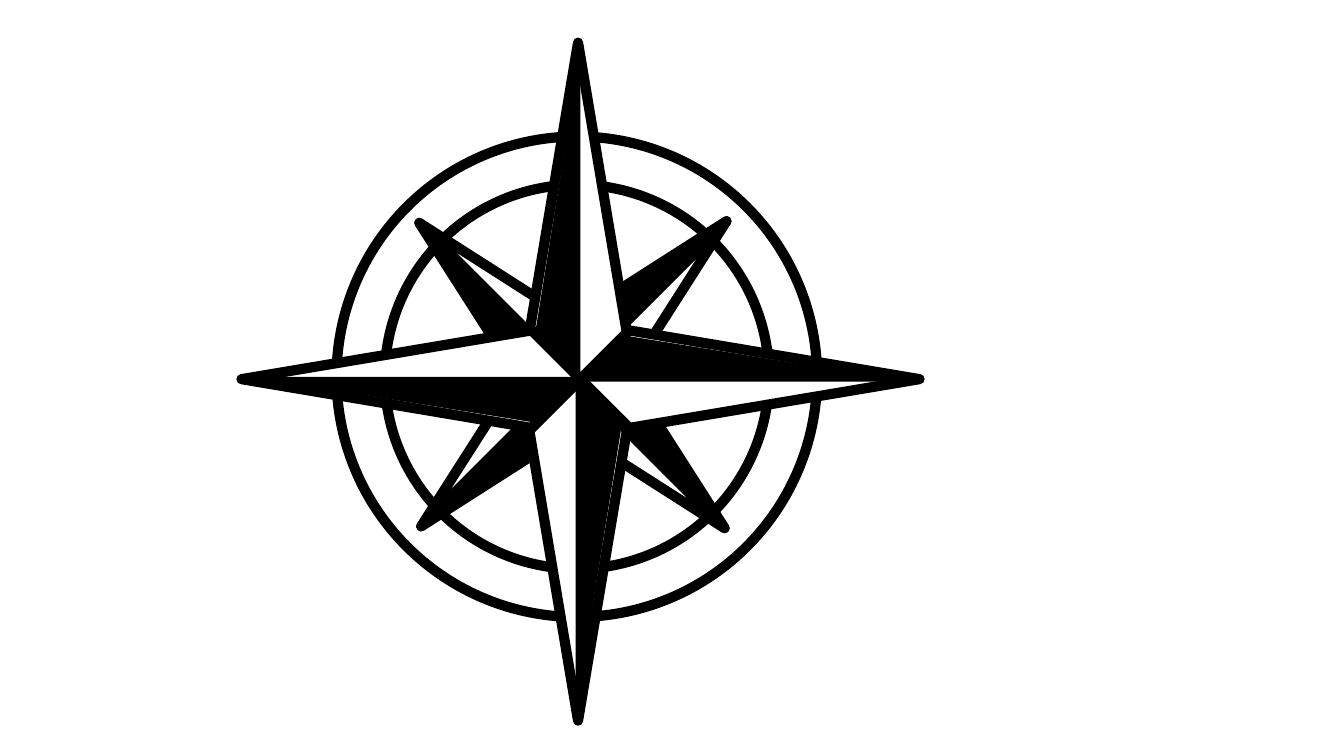
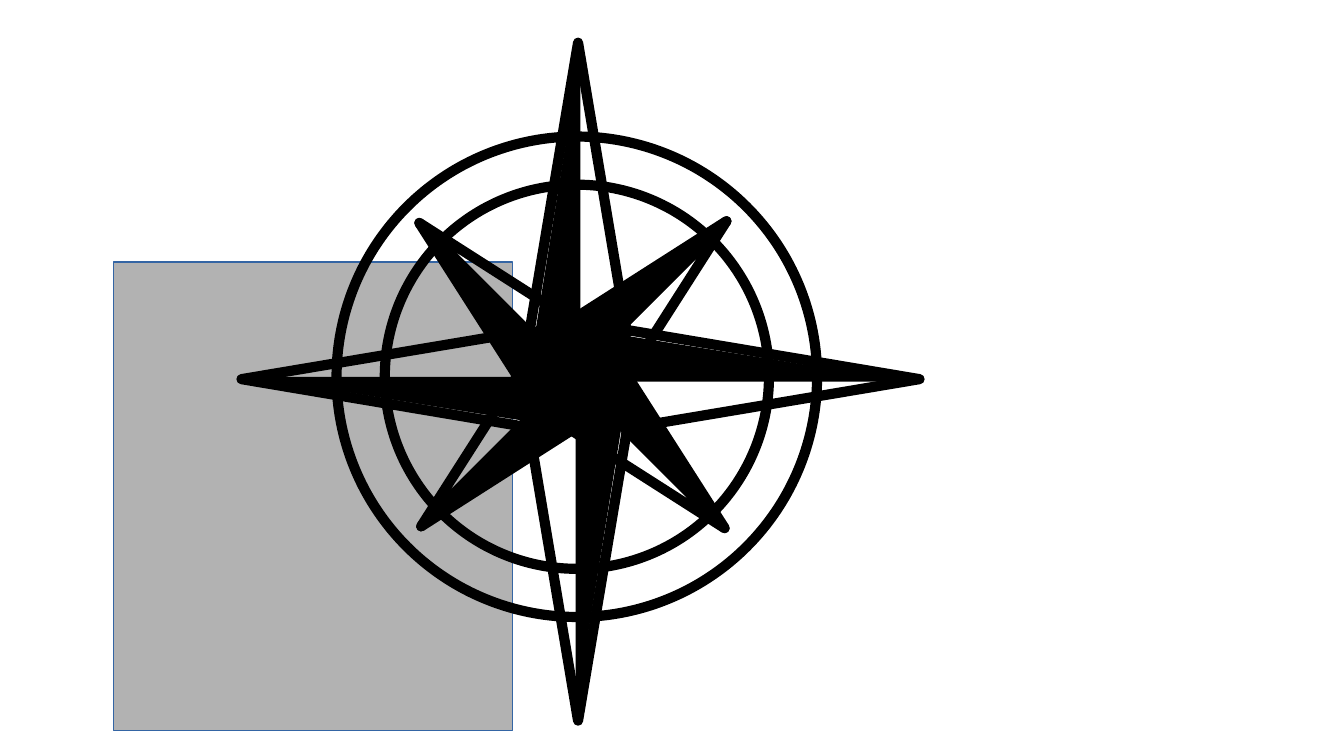
import math

import pptx
import pptx.dml.color
import pptx.enum.shapes
import pptx.oxml
import pptx.oxml.ns
import pptx.util

COLUMNS, ROWS = 110.2, 62
BLACK, WHITE, GRAY, BLUE = "000000", "FFFFFF", "B2B2B2", "3465A4"
OUTLINE = (BLACK, 6)
HAIRLINE = (BLUE, 0)
SHAPES = pptx.enum.shapes.MSO_SHAPE

RING_CENTER = (47.3, 30.9)
RING_DIAMETERS = (39.4, 31.5)
DIAGONALS = ((315, (46.9, 30.8)), (225, (47.05, 30.65)))
HALVES = (("", None), ("h", BLACK), ("hv", None), ("v", BLACK))
TRIANGLE = (3.9, 17.7)
VERTICAL_HUB, HORIZONTAL_HUB = (47.4, 31.3), (47.6, 31.1)
CARDINALS = ((0, VERTICAL_HUB), (180, VERTICAL_HUB), (270, HORIZONTAL_HUB), (90, HORIZONTAL_HUB))
KITE = ((0, 0), (4, -4), (0, -27.8), (-4, -4))
BLADE = ((0.2, -0.2), (0.2, -27), (-3.5, -4.1), (-3.5, -3.9))


def color(value):
    """Return the colour for a hex string."""
    return pptx.dml.color.RGBColor.from_string(value)


def rotate(point, degrees):
    """Turn a point clockwise around the origin."""
    x, y = point
    cosine, sine = math.cos(math.radians(degrees)), math.sin(math.radians(degrees))
    return x * cosine - y * sine, x * sine + y * cosine


class Deck:
    """Hold the presentation, the current slide and the drawing style."""

    def __init__(self):
        """Set up an empty presentation with a grid of tenths of an inch."""
        self.presentation = pptx.Presentation()
        self.cell = pptx.util.Inches(0.1)
        size = {"slide_width": self.grid(COLUMNS), "slide_height": self.grid(ROWS)}
        for name, value in size.items():
            setattr(self.presentation, name, value)

    def grid(self, cells):
        """Convert grid cells to a length."""
        return pptx.util.Emu(round(cells * self.cell))

    def add_slide(self):
        """Start a blank slide."""
        self.slide = self.presentation.slides.add_slide(self.presentation.slide_layouts[6])
        return self.slide.shapes

    def add_group(self, shapes):
        """Add a group and return its shapes."""
        return shapes.add_group_shape().shapes

    def format(self, shape, fill, line):
        """Give a shape its fill and round-cornered outline."""
        shape.shadow.inherit = False
        paints = ((shape.fill, fill), (shape.line.fill, line and line[0]))
        for paint, value in paints:
            if value:
                paint.solid()
                paint.fore_color.rgb = color(value)
            else:
                paint.background()
        if line:
            shape.line.width = pptx.util.Pt(line[1])
            outline = shape.line.fill._xPr
            outline.append(pptx.oxml.parse_xml(f"<a:round {pptx.oxml.ns.nsdecls('a')}/>"))

    def preset(self, shapes, kind, center, size, fill=None, line=OUTLINE, rotation=0, flip=""):
        """Add a preset shape around a centre, turned and flipped."""
        corner = [middle - length / 2 for middle, length in zip(center, size)]
        shape = shapes.add_shape(kind, *map(self.grid, (*corner, *size)))
        shape.rotation = rotation
        for axis in flip:
            shape._element.spPr.xfrm.set(f"flip{axis.upper()}", "1")
        self.format(shape, fill, line)

    def polygon(self, shapes, points, hub, angle, fill, line):
        """Add a closed outline turned around a hub."""
        turned = [rotate(point, angle) for point in points]
        corners = [(self.grid(hub[0] + x), self.grid(hub[1] + y)) for x, y in turned]
        builder = shapes.build_freeform(*corners[0])
        builder.add_line_segments(corners[1:], close=True)
        self.format(builder.convert_to_shape(), fill, line)

    def rings(self, shapes):
        """Add the two concentric circles."""
        for diameter in RING_DIAMETERS:
            self.preset(shapes, SHAPES.OVAL, RING_CENTER, (diameter, diameter))

    def diagonal_points(self, shapes):
        """Add the short points, each half meeting the hub at its right angle."""
        width, height = TRIANGLE
        for angle, hub in DIAGONALS:
            for flip, fill in HALVES:
                pivot = (width / 2 if "h" in flip else -width / 2,
                         -height / 2 if "v" in flip else height / 2)
                x, y = rotate(pivot, angle)
                center = (hub[0] - x, hub[1] - y)
                self.preset(shapes, SHAPES.RIGHT_TRIANGLE, center, TRIANGLE, fill,
                            rotation=angle, flip=flip)

    def cardinal_points(self, shapes, fill):
        """Add the four long points with their dark halves."""
        for angle, hub in CARDINALS:
            self.polygon(shapes, KITE, hub, angle, fill, OUTLINE)
            self.polygon(shapes, BLADE, hub, angle, BLACK, None)


def main():
    """Build the solid and the transparent compass rose."""
    deck = Deck()

    shapes = deck.add_slide()
    deck.rings(shapes)
    deck.diagonal_points(deck.add_group(shapes))
    deck.cardinal_points(shapes, WHITE)

    shapes = deck.add_slide()
    deck.preset(shapes, SHAPES.RECTANGLE, (25.65, 40.7), (32.7, 38.4), GRAY, HAIRLINE)
    compass = deck.add_group(shapes)
    deck.rings(compass)
    deck.diagonal_points(compass)
    deck.cardinal_points(compass, None)

    deck.presentation.save("out.pptx")


if __name__ == "__main__":
    main()
